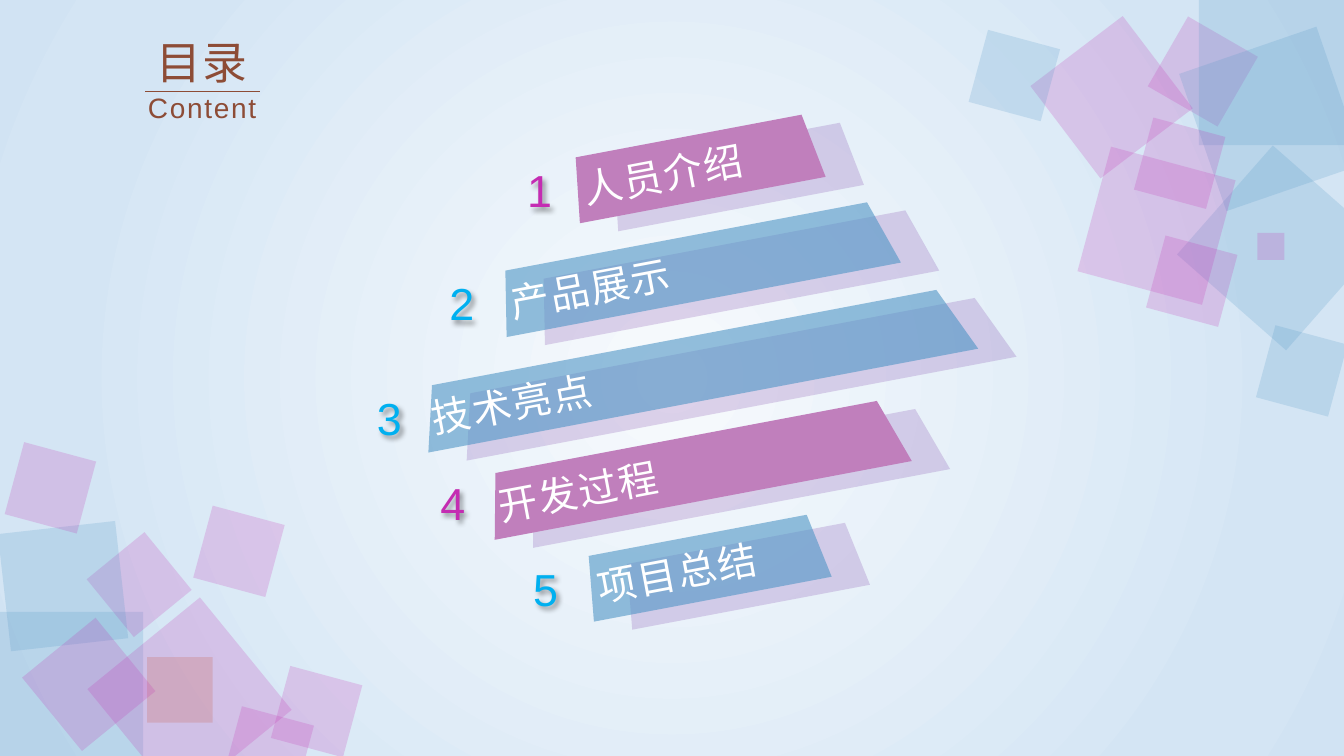
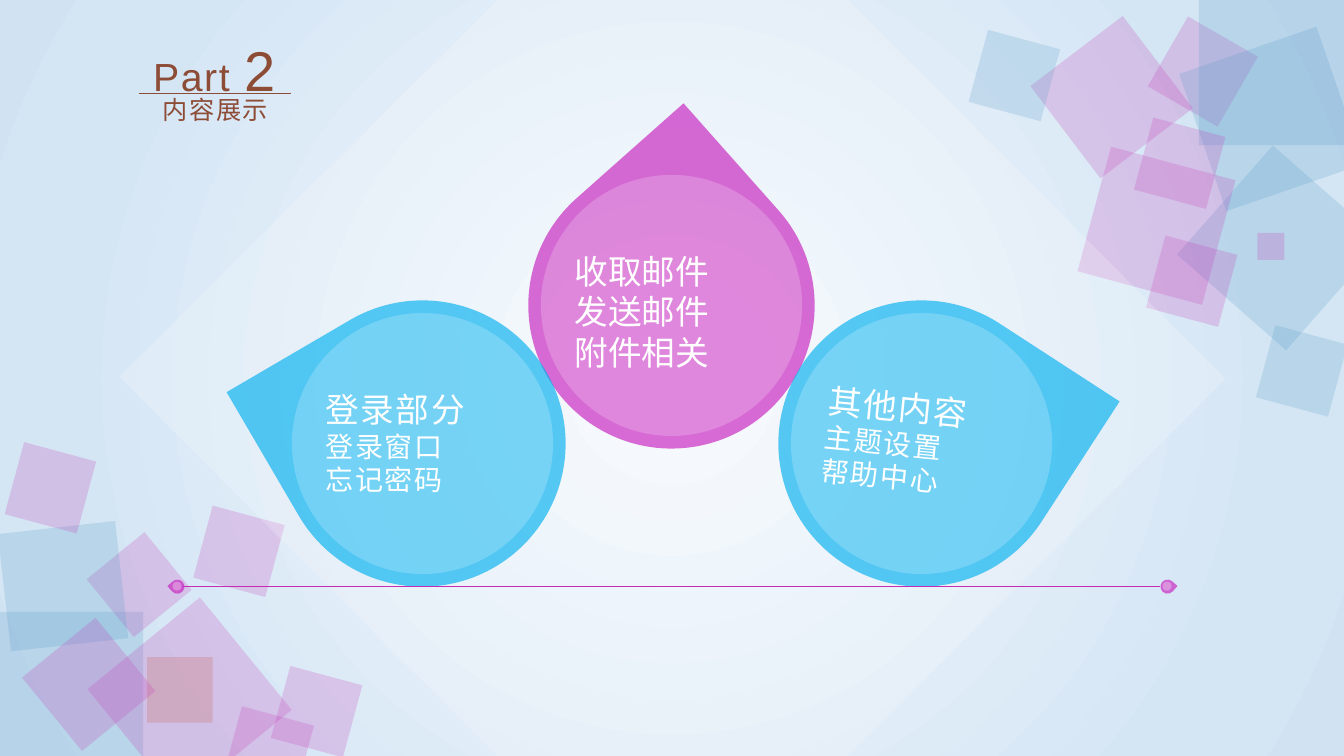
import pptx
import pptx.dml.color
import pptx.enum.shapes
import pptx.enum.text
import pptx.oxml
import pptx.oxml.ns
import pptx.util
from lxml import etree

Inches = pptx.util.Inches
Pt = pptx.util.Pt
RGBColor = pptx.dml.color.RGBColor
SHAPE = pptx.enum.shapes.MSO_SHAPE
ALIGN = pptx.enum.text.PP_ALIGN
qn = pptx.oxml.ns.qn

BLUE = RGBColor(0x4F, 0x95, 0xC5)
PINK = RGBColor(0xC4, 0x2C, 0xB2)
ORANGE = RGBColor(0xC5, 0x5A, 0x11)
PURPLE = RGBColor(0x70, 0x30, 0xA0)
MAUVE = RGBColor(0xC0, 0x7F, 0xBC)
SKY = RGBColor(0x00, 0xB0, 0xF0)
MAGENTA = RGBColor(0xC7, 0x1D, 0xBF)
BROWN = RGBColor(0x8D, 0x4C, 0x36)
WHITE = RGBColor(0xFF, 0xFF, 0xFF)
BLACK = RGBColor(0x00, 0x00, 0x00)
BACKGROUND_STOPS = [
    (0, RGBColor(0xF7, 0xFA, 0xFD)), (74, RGBColor(0xD7, 0xE7, 0xF5)),
    (83, RGBColor(0xD4, 0xE5, 0xF4)), (100, RGBColor(0xD1, 0xE3, 0xF3)),
]

LATIN = "Arial"
CJK = "Noto Sans CJK SC"
SPACING = 1.2

# left, top, side, rotation, colour
SQUARES = [
    (-0.02, 6.07, 1.44, 0, BLUE),
    (1.01, 5.43, 0.74, 50.8, PINK),
    (0.04, 5.23, 1.17, 83.6, BLUE),
    (1.46, 6.52, 0.65, 0, ORANGE),
    (11.53, 0.31, 0.8, 30, PINK),
    (11.89, 0.46, 1.44, 71, BLUE),
    (1.16, 6.22, 1.44, 50.8, PINK),
    (11.89, 0, 1.44, 0, BLUE),
    (11.97, 1.74, 1.44, 41.3, BLUE),
    (0.41, 6.32, 0.94, 50.8, PINK),
    (10.45, 0.39, 1.15, 52.8, PINK),
    (12.47, 2.31, 0.27, 0, PINK),
    (0.13, 4.47, 0.74, 105.1, PINK),
    (2, 5.1, 0.74, 105.1, PINK),
    (2.77, 6.69, 0.74, 105.1, PINK),
    (2.29, 7.09, 0.74, 105.1, PINK),
    (9.69, 0.38, 0.74, 105.1, BLUE),
    (11.33, 1.25, 0.74, 105.1, PINK),
    (11.45, 2.42, 0.74, 105.1, PINK),
    (10.83, 1.6, 1.28, 105.1, PINK),
    (12.54, 3.31, 0.74, 105.1, BLUE),
]

# topic, left, top, width, upper-left inset, upper-right inset,
# fill, opacity, number colour, number left, number top
TOPICS = [
    ("人员介绍", 5.67, 1.34, 2.48, 0.08, 0.12, MAUVE, 100, PINK, 5.13, 1.57),
    ("产品展示", 4.93, 2.33, 3.98, 0.11, 0.22, BLUE, 60, SKY, 4.36, 2.69),
    ("技术亮点", 4.14, 3.33, 5.55, 0.16, 0.3, BLUE, 60, SKY, 3.64, 3.83),
    ("开发过程", 4.81, 4.32, 4.21, 0.13, 0.23, MAUVE, 100, PINK, 4.27, 4.67),
    ("项目总结", 5.81, 5.3, 2.4, 0.07, 0.13, BLUE, 60, SKY, 5.19, 5.52),
]
BAR_HEIGHT = 0.65
BAR_ROTATION = -10.7
BAR_SHADOW = (0.38, 0.08)

PETAL = 2.84
PETAL_DISC = 2.59
KNOB = 0.14
KNOB_DISC = 0.09


def add_alpha(color_element, opacity):
    alpha = etree.SubElement(color_element, qn("a:alpha"))
    alpha.set("val", str(opacity * 1000))


def paint(shape, color, opacity=100):
    """Fill without outline or shadow; opacity in percent."""
    shape.shadow.inherit = False
    shape.line.fill.background()
    shape.fill.solid()
    shape.fill.fore_color.rgb = color
    if opacity < 100:
        add_alpha(shape.fill._xPr.find(".//" + qn("a:srgbClr")), opacity)


def style_paragraph(paragraph, size, color, font=CJK, align=ALIGN.LEFT,
                    spacing=SPACING):
    paragraph.alignment = align
    paragraph.font.size = Pt(size)
    paragraph.font.name = font
    paragraph.font.color.rgb = color
    defaults = paragraph._p.get_or_add_pPr().get_or_add_defRPr()
    defaults.set("spc", str(round(spacing * 100)))
    etree.SubElement(defaults, qn("a:ea")).set("typeface", font)


def add_text(shapes, left, top, width, height, lines, color, font=CJK,
             align=ALIGN.LEFT, spacing=SPACING, wrap=True):
    """Add a text box; lines holds (text, size) pairs."""
    box = shapes.add_textbox(Inches(left), Inches(top), Inches(width),
                             Inches(height))
    frame = box.text_frame
    frame.word_wrap = wrap
    frame.auto_size = pptx.enum.text.MSO_AUTO_SIZE.SHAPE_TO_FIT_TEXT
    for index, (text, size) in enumerate(lines):
        paragraph = frame.add_paragraph() if index else frame.paragraphs[0]
        paragraph.add_run().text = text
        style_paragraph(paragraph, size, color, font, align, spacing)
    return box


def add_shape(shapes, kind, left, top, side, color, opacity, rotation=0):
    shape = shapes.add_shape(kind, Inches(left), Inches(top), Inches(side),
                             Inches(side))
    shape.rotation = rotation
    paint(shape, color, opacity)
    return shape


def add_rule(shapes, left, right, y, color):
    rule = shapes.add_connector(pptx.enum.shapes.MSO_CONNECTOR.STRAIGHT,
                                Inches(left), Inches(y), Inches(right),
                                Inches(y))
    rule.line.color.rgb = color
    rule.line.width = Pt(0.5)
    etree.SubElement(rule._element.spPr, qn("a:effectLst"))


def set_background(master):
    """Give the master a gradient that runs out from the centre."""
    master.background.fill.gradient()
    gradient = master._element.find(".//" + qn("a:gradFill"))
    for child in list(gradient):
        gradient.remove(child)
    stops = etree.SubElement(gradient, qn("a:gsLst"))
    for position, color in BACKGROUND_STOPS:
        stop = etree.SubElement(stops, qn("a:gs"))
        stop.set("pos", str(position * 1000))
        etree.SubElement(stop, qn("a:srgbClr")).set("val", str(color))
    circle = etree.SubElement(gradient, qn("a:path"))
    circle.set("path", "circle")
    center = etree.SubElement(circle, qn("a:fillToRect"))
    for side in "ltrb":
        center.set(side, "50000")


def add_decorated_slide(prs):
    slide = prs.slides.add_slide(prs.slide_layouts[6])
    squares = slide.shapes.add_group_shape().shapes
    for left, top, side, rotation, color in SQUARES:
        add_shape(squares, SHAPE.RECTANGLE, left, top, side, color, 20,
                  rotation)
    return slide


def add_bar(shapes, left, top, width, left_inset, right_inset, color,
            opacity):
    """Add a slanted bar whose upper edge is shorter than its lower one."""
    right, bottom = left + width, top + BAR_HEIGHT
    corners = [(left, bottom), (left + left_inset, top),
               (right - right_inset, top), (right, bottom)]
    start, *others = [(Inches(x), Inches(y)) for x, y in corners]
    builder = shapes.build_freeform(*start)
    builder.add_line_segments(others, close=True)
    bar = builder.convert_to_shape()
    bar.rotation = BAR_ROTATION
    paint(bar, color, opacity)
    return bar


def add_soft_shadow(box):
    effects = etree.SubElement(box._element.spPr, qn("a:effectLst"))
    shadow = etree.SubElement(effects, qn("a:outerShdw"))
    for key, value in (("blurRad", Pt(4)), ("dist", Pt(3)),
                       ("dir", 45 * 60000)):
        shadow.set(key, str(int(value)))
    shadow.set("algn", "tl")
    color = etree.SubElement(shadow, qn("a:srgbClr"))
    color.set("val", str(BLACK))
    add_alpha(color, 40)


def add_petal(shapes, left, top, rotation, color, lines, height,
              spacing=SPACING, tilt=0):
    petal = shapes.add_group_shape().shapes
    add_shape(petal, SHAPE.TEAR, left, top, PETAL, color, 65, rotation)
    inset = (PETAL - PETAL_DISC) / 2
    add_shape(petal, SHAPE.OVAL, left + inset, top + inset, PETAL_DISC,
              WHITE, 20)
    label = add_text(petal, left + 0.36, top + 0.83, 2.13, height, lines,
                     WHITE, spacing=spacing)
    label.rotation = tilt


def build_contents(prs):
    shapes = add_decorated_slide(prs).shapes
    dx, dy = BAR_SHADOW
    for _, left, top, width, left_inset, right_inset, *_ in TOPICS:
        add_bar(shapes, left + dx, top + dy, width, left_inset, right_inset,
                PURPLE, 20)
    for number, topic in enumerate(TOPICS, 1):
        title, *outline, number_color, number_left, number_top = topic
        frame = add_bar(shapes, *outline).text_frame
        frame.vertical_anchor = pptx.enum.text.MSO_ANCHOR.MIDDLE
        frame.text = title
        style_paragraph(frame.paragraphs[0], 28, WHITE)
        add_soft_shadow(add_text(shapes, number_left, number_top, 0.64, 0.64,
                                 [(str(number), 32)], number_color, LATIN,
                                 spacing=0))

    add_text(shapes, 0.49, 0.85, 3.03, 0.44, [("Content", 20)], BROWN, LATIN,
             ALIGN.CENTER)
    add_text(shapes, 1.44, 0.3, 1.13, 0.64, [("目录", 32)], BROWN,
             align=ALIGN.CENTER, wrap=False)
    add_rule(shapes, 1.44, 2.58, 0.91, BROWN)


def build_part(prs):
    shapes = add_decorated_slide(prs).shapes
    add_shape(shapes, SHAPE.RECTANGLE, 2.79, -0.13, 7.76, WHITE, 20, 45.1)

    add_text(shapes, 0.62, 0.89, 3.03, 0.4, [("内容展示", 18)], BROWN,
             align=ALIGN.CENTER)
    part = add_text(shapes, 1.42, 0.3, 1.44, 0.77, [("Part ", 28)], BROWN,
                    LATIN, wrap=False)
    part_number = part.text_frame.paragraphs[0].add_run()
    part_number.text = "2"
    part_number.font.size = Pt(40)
    add_rule(shapes, 1.38, 2.89, 0.93, BROWN)

    add_petal(shapes, 5.24, 1.61, 318.4, MAGENTA,
              [("收取邮件", 24), ("发送邮件", 24), ("附件相关", 24)], 1.31,
              spacing=0)
    add_petal(shapes, 7.72, 2.98, 33, SKY,
              [("其他内容", 24), ("主题设置", 20), ("帮助中心", 20)], 1.18,
              tilt=5.7)
    add_petal(shapes, 2.77, 2.98, 239.7, SKY,
              [("登录部分", 24), ("登录窗口", 20), ("忘记密码", 20)], 1.18)

    add_rule(shapes, 1.82, 11.51, 5.82, PINK)
    for left, rotation in ((1.69, 228.4), (11.51, 41.6)):
        add_shape(shapes, SHAPE.TEAR, left, 5.75, KNOB, MAGENTA, 65, rotation)
        add_shape(shapes, SHAPE.OVAL, left + 0.02, 5.77, KNOB_DISC, WHITE, 30)


def main():
    prs = pptx.Presentation()
    prs.slide_width = Inches(13.33)
    prs.slide_height = Inches(7.5)
    set_background(prs.slide_master)
    build_contents(prs)
    build_part(prs)
    prs.save("out.pptx")


if __name__ == "__main__":
    main()
